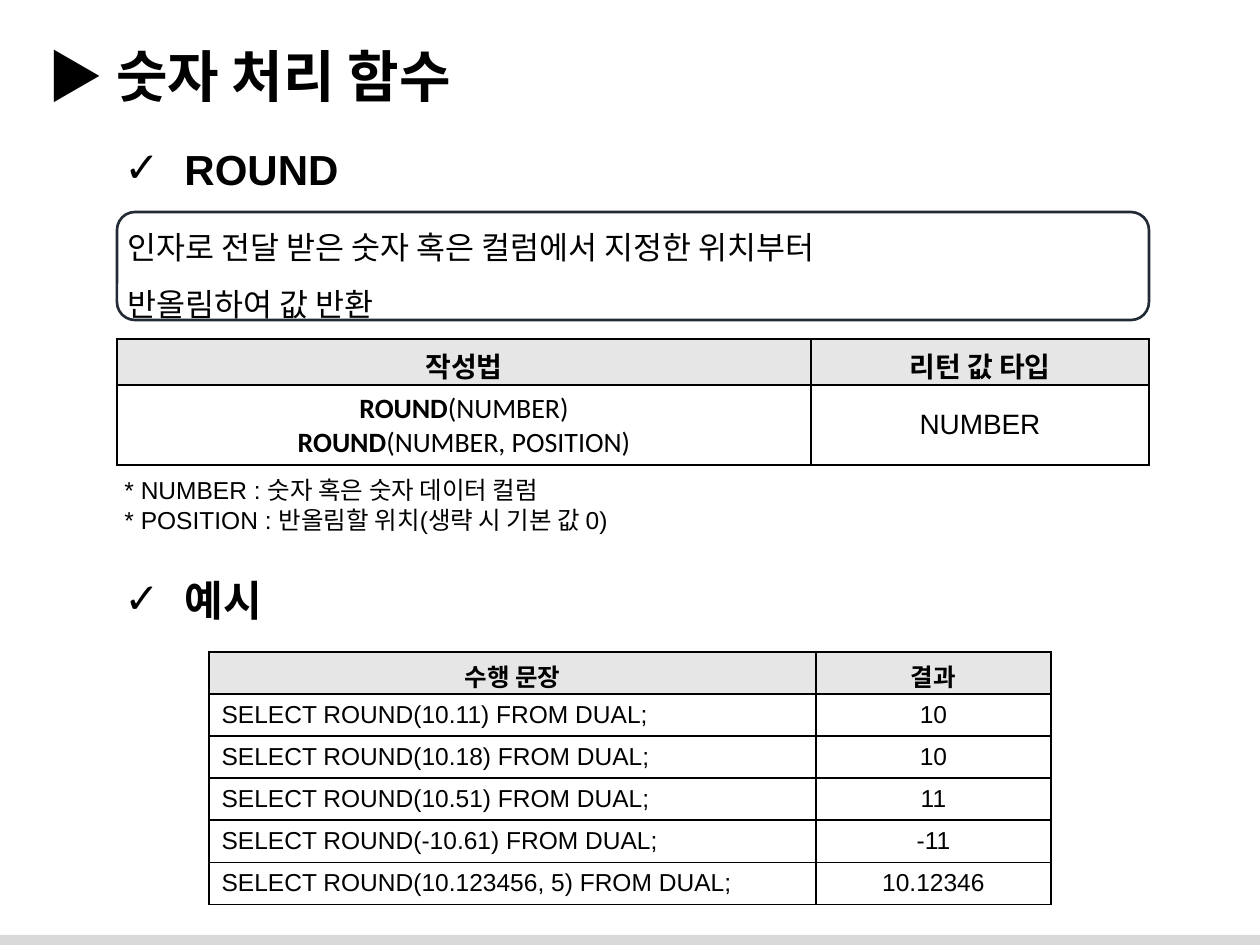
from lxml import etree
from pptx import Presentation
from pptx import util as u
from pptx.dml.color import RGBColor
from pptx.enum import shapes, text
from pptx.oxml import ns

SCALE = 914400 / 126
HEX = {"ink": "000000", "head": "E7E6E6", "edge": "222A35", "foot": "D9D9D9"}
MID = text.MSO_ANCHOR.MIDDLE
LEFT, CENTER = text.PP_ALIGN.LEFT, text.PP_ALIGN.CENTER


def px(n):
    return u.Emu(round(n * SCALE))


def rgb(name):
    return RGBColor.from_string(HEX[name])


def style(para, size, bold=False, face="Arial", align=LEFT):
    para.alignment = align
    font = para.font
    font.name, font.size, font.bold = face, u.Pt(size), bold
    font.color.rgb = rgb("ink")


def label(slide, box, lines, size, bold=False, wrap=True):
    frame = slide.shapes.add_textbox(*map(px, box)).text_frame
    frame.word_wrap = wrap
    frame.text = "\n".join(lines)
    for para in frame.paragraphs:
        style(para, size, bold)
    return frame


def topic(slide, box, title):
    frame = slide.shapes.add_textbox(*map(px, box)).text_frame
    frame.word_wrap = False
    frame.text = title
    para = frame.paragraphs[0]
    props = para._p.get_or_add_pPr()
    props.set("marL", str(px(60)))
    props.set("indent", str(-px(60)))
    etree.SubElement(props, ns.qn("a:buFont")).set("typeface", "Arial")
    etree.SubElement(props, ns.qn("a:buChar")).set("char", "✓")
    style(para, 24, True)


def panel(slide, box, lines):
    shape = slide.shapes.add_shape(
        shapes.MSO_SHAPE.ROUNDED_RECTANGLE, *map(px, box))
    shape.shadow.inherit = False
    shape.fill.background()
    shape.line.color.rgb = rgb("edge")
    shape.line.width = u.Pt(1.5)
    frame = shape.text_frame
    frame.word_wrap = True
    frame.vertical_anchor = MID
    frame.margin_left, frame.margin_right = px(5), 0
    frame.text = "\n".join(lines)
    for para in frame.paragraphs:
        para.line_spacing = 1.5
        style(para, 18)


def border(cell):
    props = cell._tc.get_or_add_tcPr()
    for side in ("lnL", "lnR", "lnT", "lnB"):
        line = etree.SubElement(props, ns.qn("a:" + side), w=str(u.Pt(1)))
        fill = etree.SubElement(line, ns.qn("a:solidFill"))
        etree.SubElement(fill, ns.qn("a:srgbClr"), val=HEX["ink"])


def grid(slide, box, cols, rows, data, size, face="Arial", align=CENTER):
    table = slide.shapes.add_table(
        len(rows), len(cols), *map(px, box)).table
    table.first_row = table.horz_banding = False
    for col, wide in zip(table.columns, cols):
        col.width = px(wide)
    for r, (row, high) in enumerate(zip(table.rows, rows)):
        row.height = px(high)
        for c, cell in enumerate(row.cells):
            cell.text = data[r][c]
            cell.vertical_anchor = MID
            border(cell)
            if r == 0:
                cell.fill.solid()
                cell.fill.fore_color.rgb = rgb("head")
            else:
                cell.fill.background()
            for para in cell.text_frame.paragraphs:
                if r == 0:
                    style(para, size, True, face, CENTER)
                else:
                    style(para, size, align=CENTER if c else align)
    return table


def syntax(slide, box):
    data = [["작성법", "리턴 값 타입"], ["", "NUMBER"]]
    table = grid(slide, box, [694, 338], [46, 80], data, 16)
    frame = table.cell(1, 0).text_frame
    for i, args in enumerate(["(NUMBER)", "(NUMBER, POSITION)"]):
        para = frame.add_paragraph() if i else frame.paragraphs[0]
        style(para, 16, face="Calibri", align=CENTER)
        name = para.add_run()
        name.text = "ROUND"
        name.font.bold = True
        para.add_run().text = args


def sample(slide, box):
    calls = [("10.11", "10"), ("10.18", "10"), ("10.51", "11"),
             ("-10.61", "-11"), ("10.123456, 5", "10.12346")]
    data = [("수행 문장", "결과")]
    data += [(f"SELECT ROUND({args}) FROM DUAL;", out) for args, out in calls]
    grid(slide, box, [607, 235], [42] * len(data), data, 14, "Calibri", LEFT)


def footer(slide, box):
    bar = slide.shapes.add_shape(shapes.MSO_SHAPE.RECTANGLE, *map(px, box))
    bar.shadow.inherit = False
    bar.fill.solid()
    bar.fill.fore_color.rgb = rgb("foot")
    bar.line.fill.background()


def main():
    deck = Presentation()
    deck.slide_width, deck.slide_height = px(1260), px(945)
    slide = deck.slides.add_slide(deck.slide_layouts[6])
    footer(slide, (0, 935, 1260, 10))
    label(slide, (35, 35, 1191, 81), ["▶ 숫자 처리 함수"], 32, True)
    topic(slide, (112, 137, 244, 63), "ROUND")
    panel(slide, (117, 212, 1032, 108),
          ["인자로 전달 받은 숫자 혹은 컬럼에서 지정한 위치부터",
           "반올림하여 값 반환"])
    syntax(slide, (117, 339, 1032, 126))
    label(slide, (112, 469, 548, 72),
          ["* NUMBER : 숫자 혹은 숫자 데이터 컬럼",
           "* POSITION : 반올림할 위치(생략 시 기본 값 0)"], 14, wrap=False)
    topic(slide, (112, 568, 173, 63), "예시")
    sample(slide, (209, 652, 842, 252))
    deck.save("out.pptx")


if __name__ == "__main__":
    main()
